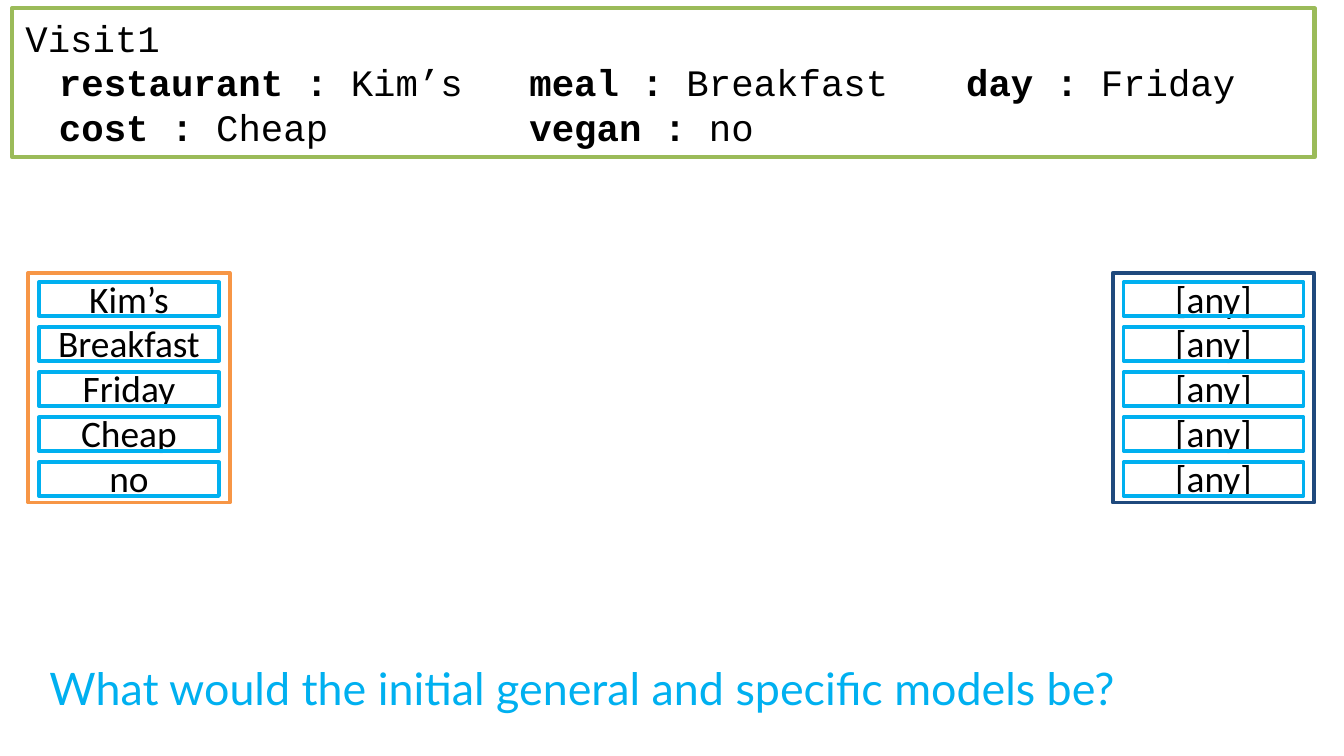
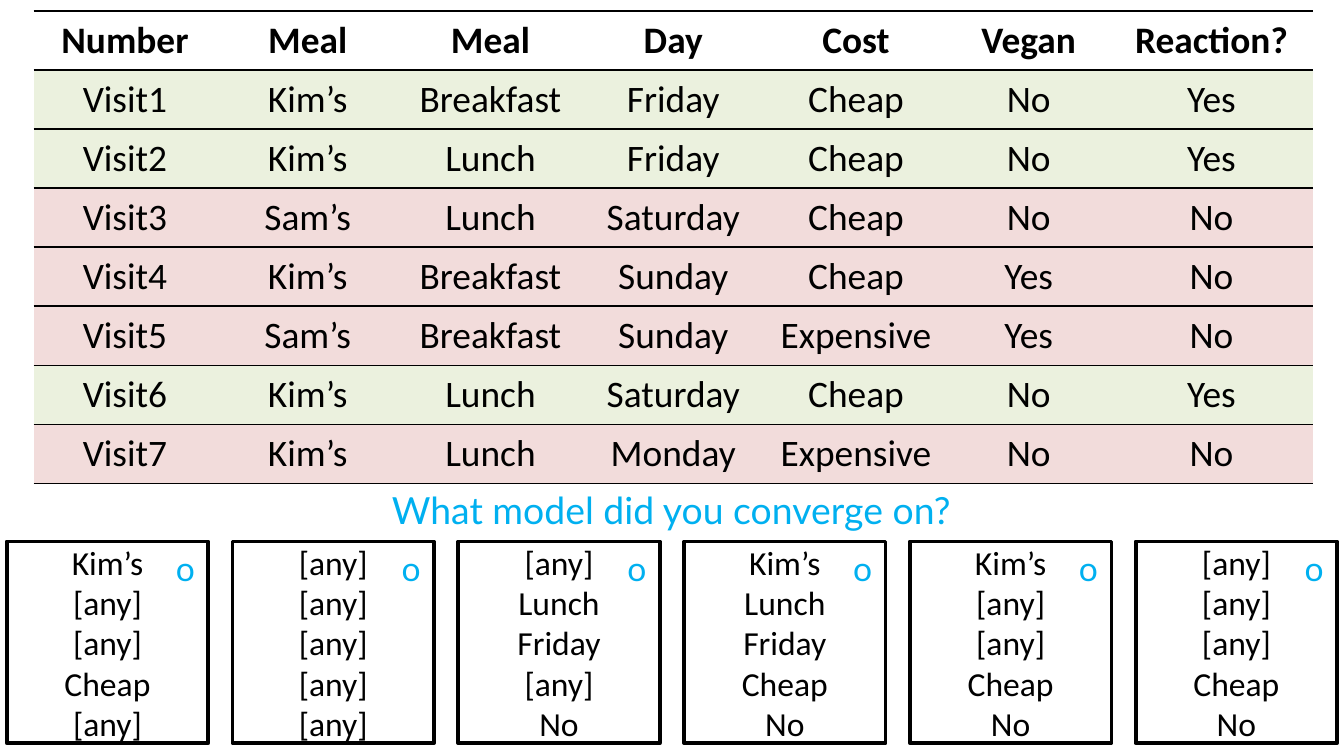
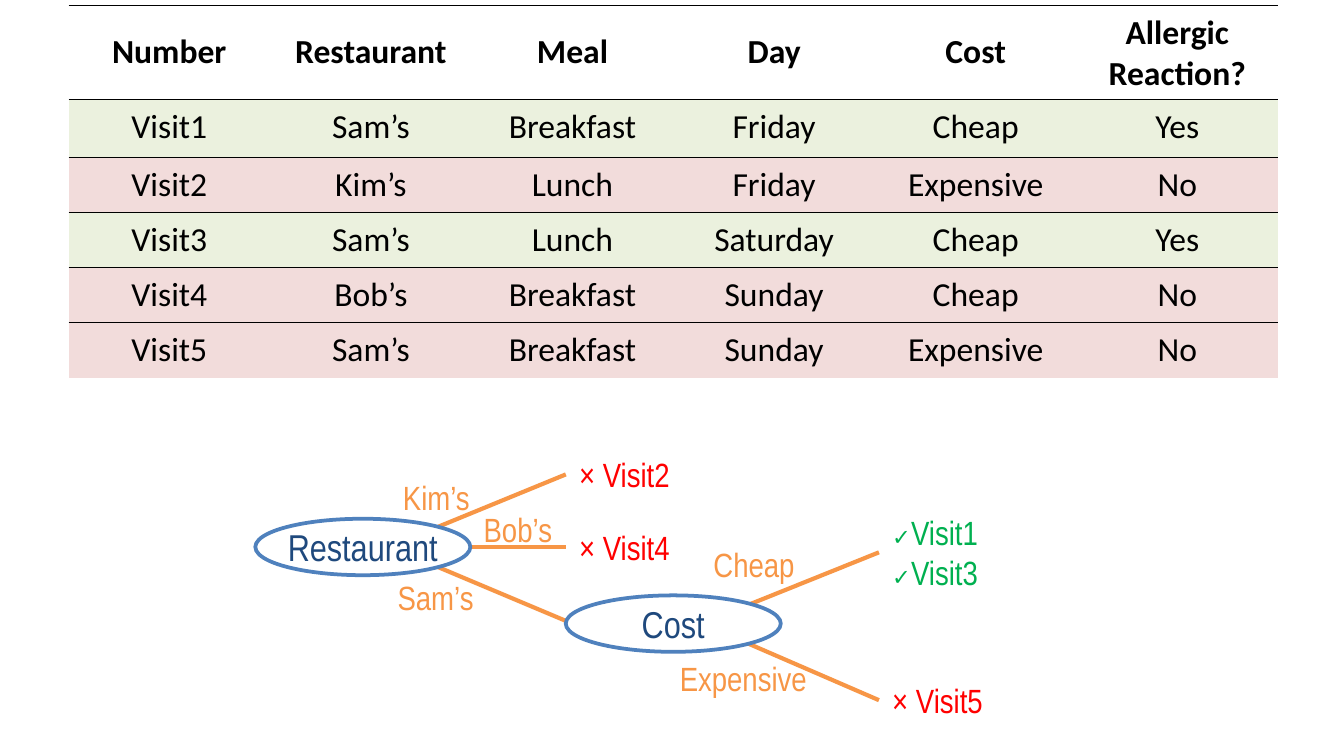
from lxml.etree import SubElement
from pptx import Presentation
from pptx.dml.color import RGBColor
from pptx.enum.shapes import MSO_CONNECTOR, MSO_SHAPE
from pptx.enum.text import MSO_ANCHOR, MSO_AUTO_SIZE, PP_ALIGN
from pptx.oxml.ns import qn
from pptx.util import Inches, Pt

BLACK, WHITE, SKY, ORANGE = "000000", "FFFFFF", "00B0F0", "F79646"
NAVY, BLUE, LIME = "1F497D", "4F81BD", "9BBB59"
RED, GREEN = "FF0000", "00B050"
YES_FILL, NO_FILL = "EBF1DE", "F2DCDB"
BODY, MONO, PROMPT, TREE = "Calibri", "Courier New", "Lato", "Arial Narrow"
PLAIN_TABLE = "{2D5ABB26-0587-4C30-8999-92F81FD0307C}"
ANY = "[any]"


# Shared helpers
def rgb(value):
    return RGBColor.from_string(value)


def inches(box):
    return [Inches(round(length, 3)) for length in box]


def write(frame, paragraphs, size=18, font=BODY, color=BLACK, bold=False,
          align=PP_ALIGN.LEFT, tabs=()):
    """Each paragraph is a string or a list of (text, font settings) spans."""
    for index, content in enumerate(paragraphs):
        para = frame.paragraphs[0] if index == 0 else frame.add_paragraph()
        para.alignment = align
        if tabs:
            stops = SubElement(para._p.get_or_add_pPr(), qn("a:tabLst"))
            for position in tabs:
                SubElement(stops, qn("a:tab"), pos=str(Inches(position)), algn="l")
        spans = [(content, {})] if isinstance(content, str) else content
        for text, settings in spans:
            span = para.add_run()
            span.text = text
            span.font.name = font
            span.font.size = Pt(settings.get("size", size))
            span.font.bold = settings.get("bold", bold)
            span.font.color.rgb = rgb(color)


def add_outline(page, box, line, width=2, fill=None, kind=MSO_SHAPE.RECTANGLE):
    shape = page.shapes.add_shape(kind, *inches(box))
    shape.shadow.inherit = False
    if fill:
        shape.fill.solid()
        shape.fill.fore_color.rgb = rgb(fill)
    else:
        shape.fill.background()
    shape.line.color.rgb = rgb(line)
    shape.line.width = Pt(width)
    return shape


def add_filled(page, box, paragraphs, line, kind=MSO_SHAPE.RECTANGLE, **text_format):
    """White shape with centred text that reaches to its edges."""
    shape = add_outline(page, box, line, fill=WHITE, kind=kind)
    frame = shape.text_frame
    frame.word_wrap = True
    frame.vertical_anchor = MSO_ANCHOR.MIDDLE
    frame.margin_left = frame.margin_right = 0
    frame.margin_top = frame.margin_bottom = 0
    write(frame, paragraphs, align=PP_ALIGN.CENTER, **text_format)


def add_label(page, box, paragraphs, wrap=False, anchor=MSO_ANCHOR.TOP, **text_format):
    frame = page.shapes.add_textbox(*inches(box)).text_frame
    frame.word_wrap = wrap
    frame.auto_size = MSO_AUTO_SIZE.NONE if wrap else MSO_AUTO_SIZE.SHAPE_TO_FIT_TEXT
    frame.vertical_anchor = anchor
    write(frame, paragraphs, **text_format)


def add_line(page, start, end):
    line = page.shapes.add_connector(MSO_CONNECTOR.STRAIGHT, *inches(start + end))
    line.line.color.rgb = rgb(ORANGE)
    line.line.width = Pt(2.25)
    SubElement(line._element.spPr, qn("a:effectLst"))


# Visit table: the last column decides the colour of the row
def add_border(cell, side):
    line = SubElement(cell._tc.get_or_add_tcPr(), qn(f"a:{side}"), w=str(Pt(1)))
    fill = SubElement(line, qn("a:solidFill"))
    SubElement(fill, qn("a:srgbClr"), val=BLACK)


def add_visit_table(page, left, top, widths, heights, rows, size, closed=True):
    box = (left, top, sum(widths), sum(heights))
    table = page.shapes.add_table(len(rows), len(widths), *inches(box)).table
    table._tbl.tblPr.find(qn("a:tableStyleId")).text = PLAIN_TABLE
    table.horz_banding = False
    for column, width in zip(table.columns, widths):
        column.width = Inches(width)
    for index, (values, height) in enumerate(zip(rows, heights)):
        table.rows[index].height = Inches(height)
        header = index == 0
        for column, value in enumerate(values):
            cell = table.cell(index, column)
            write(cell.text_frame, [value], size=size, bold=header,
                  align=PP_ALIGN.CENTER)
            cell.vertical_anchor = MSO_ANCHOR.MIDDLE if header else MSO_ANCHOR.TOP
            add_border(cell, "lnT")
            if closed or index < len(rows) - 1:
                add_border(cell, "lnB")
            if header:
                cell.fill.background()
            else:
                cell.fill.solid()
                cell.fill.fore_color.rgb = rgb(
                    YES_FILL if values[-1] == "Yes" else NO_FILL)


# Slide 1: first visit with its two starting models
def add_model(page, left, top, values, line):
    add_filled(page, (left, top, 1.5, 1.71), values, line, size=20)
    for row in range(len(values)):
        add_outline(page, (left + 0.08, top + 0.07 + 0.335 * row, 1.34, 0.25), SKY)


def add_visit_card(page, box):
    strong, plain = {"bold": True}, {}
    card = add_outline(page, box, LIME, width=2.25)
    card.text_frame.word_wrap = True
    card.text_frame.vertical_anchor = MSO_ANCHOR.TOP
    write(card.text_frame, [
        "Visit1",
        [("\trestaurant : ", strong), ("Kim’s", plain),
         ("\tmeal : ", strong), ("Breakfast", plain),
         ("\tday : ", strong), ("Friday", plain)],
        [("\tcost : ", strong), ("Cheap", plain),
         ("\tvegan : ", strong), ("no", plain)],
    ], size=20, font=MONO, tabs=(0.25, 3.75, 7))


def build_initial_models(page):
    add_visit_card(page, (0.09, 0.06, 9.69, 1.11))
    add_model(page, 0.21, 2.03, ["Kim’s", "Breakfast", "Friday", "Cheap", "no"], ORANGE)
    add_model(page, 8.28, 2.03, [ANY] * 5, NAVY)
    add_label(page, (0.27, 4.87, 9.5, 0.5),
              ["What would the initial general and specific models be?"],
              size=24, font=PROMPT, color=SKY)


# Slide 2: seven visits and six candidate models
def add_candidate(page, left, top, values):
    add_filled(page, (left, top, 1.5, 1.5), values, BLACK)
    add_label(page, (left + 1.16, top, 0.34, 0.4), ["ο"], font=PROMPT, color=SKY)


def build_convergence(page):
    add_visit_table(page, 0.25, 0.08, [1.36] * 5 + [1.21, 1.51], [0.44] * 8, [
        ["Number", "Meal", "Meal", "Day", "Cost", "Vegan", "Reaction?"],
        ["Visit1", "Kim’s", "Breakfast", "Friday", "Cheap", "No", "Yes"],
        ["Visit2", "Kim’s", "Lunch", "Friday", "Cheap", "No", "Yes"],
        ["Visit3", "Sam’s", "Lunch", "Saturday", "Cheap", "No", "No"],
        ["Visit4", "Kim’s", "Breakfast", "Sunday", "Cheap", "Yes", "No"],
        ["Visit5", "Sam’s", "Breakfast", "Sunday", "Expensive", "Yes", "No"],
        ["Visit6", "Kim’s", "Lunch", "Saturday", "Cheap", "No", "Yes"],
        ["Visit7", "Kim’s", "Lunch", "Monday", "Expensive", "No", "No"],
    ], size=20)
    candidates = [
        ["Kim’s", ANY, ANY, "Cheap", ANY],
        [ANY] * 5,
        [ANY, "Lunch", "Friday", ANY, "No"],
        ["Kim’s", "Lunch", "Friday", "Cheap", "No"],
        ["Kim’s", ANY, ANY, "Cheap", "No"],
        [ANY, ANY, ANY, "Cheap", "No"],
    ]
    for index, values in enumerate(candidates):
        add_candidate(page, 0.05 + 1.68 * index, 4.03, values)
    add_label(page, (0.04, 3.6, 9.91, 0.39), ["What model did you converge on?"],
              wrap=True, anchor=MSO_ANCHOR.MIDDLE, size=20, font=PROMPT,
              color=SKY, align=PP_ALIGN.CENTER)


# Slide 3: visits and the decision tree that sorts them
def add_question(page, left, top, name, branches):
    """Branch: start, end, label, label box, leaf; places relative to the node."""
    for (start_x, start_y), (end_x, end_y), *_ in branches:
        add_line(page, (left + start_x, top + start_y), (left + end_x, top + end_y))
    add_filled(page, (left, top, 1.6, 0.42), [name], BLUE,
               kind=MSO_SHAPE.OVAL, size=20, font=TREE, color=NAVY)
    for _, (end_x, end_y), label, (x, y, width), leaf in branches:
        add_label(page, (left + x, top + y, width, 0.4), [label], font=TREE, color=ORANGE)
        if leaf:
            add_leaf(page, left + end_x, top + end_y, **leaf)


def add_leaf(page, left, middle, visits, color=RED, height=0.4):
    add_label(page, (left, middle - height / 2, 0.88, height), visits,
              anchor=MSO_ANCHOR.MIDDLE, font=TREE, color=color)


def build_decision_tree(page):
    add_visit_table(page, 0.51, 0.04, [1.5] * 6, [0.7, 0.43] + [0.41] * 4, [
        ["Number", "Restaurant", "Meal", "Day", "Cost", "Allergic Reaction?"],
        ["Visit1", "Sam’s", "Breakfast", "Friday", "Cheap", "Yes"],
        ["Visit2", "Kim’s", "Lunch", "Friday", "Expensive", "No"],
        ["Visit3", "Sam’s", "Lunch", "Saturday", "Cheap", "Yes"],
        ["Visit4", "Bob’s", "Breakfast", "Sunday", "Cheap", "No"],
        ["Visit5", "Sam’s", "Breakfast", "Sunday", "Expensive", "No"],
    ], size=18, closed=False)
    accepted = [[("✓", {"size": 12}), (visit, {})] for visit in ("Visit1", "Visit3")]
    add_question(page, 1.9, 3.86, "Restaurant", [
        ((1.36, 0.06), (2.31, -0.33), "Kim’s", (1, -0.36, 0.7), {"visits": ["× Visit2"]}),
        ((1.6, 0.21), (2.31, 0.21), "Bob’s", (1.6, -0.12, 0.72), {"visits": ["× Visit4"]}),
        ((1.36, 0.36), (2.31, 0.76), "Sam’s", (0.96, 0.38, 0.77), None),
    ])
    add_question(page, 4.21, 4.43, "Cost", [
        ((1.36, 0.07), (2.33, -0.32), "Cheap", (1, -0.43, 0.81),
         {"visits": accepted, "color": GREEN, "height": 0.71}),
        ((1.36, 0.36), (2.33, 0.78), "Expensive", (0.75, 0.42, 1.16),
         {"visits": ["× Visit5"]}),
    ])


def main():
    deck = Presentation()
    deck.slide_width = Inches(10)
    deck.slide_height = deck.slide_width * 9 // 16
    for build in (build_initial_models, build_convergence, build_decision_tree):
        build(deck.slides.add_slide(deck.slide_layouts[6]))
    deck.save("out.pptx")


if __name__ == "__main__":
    main()
